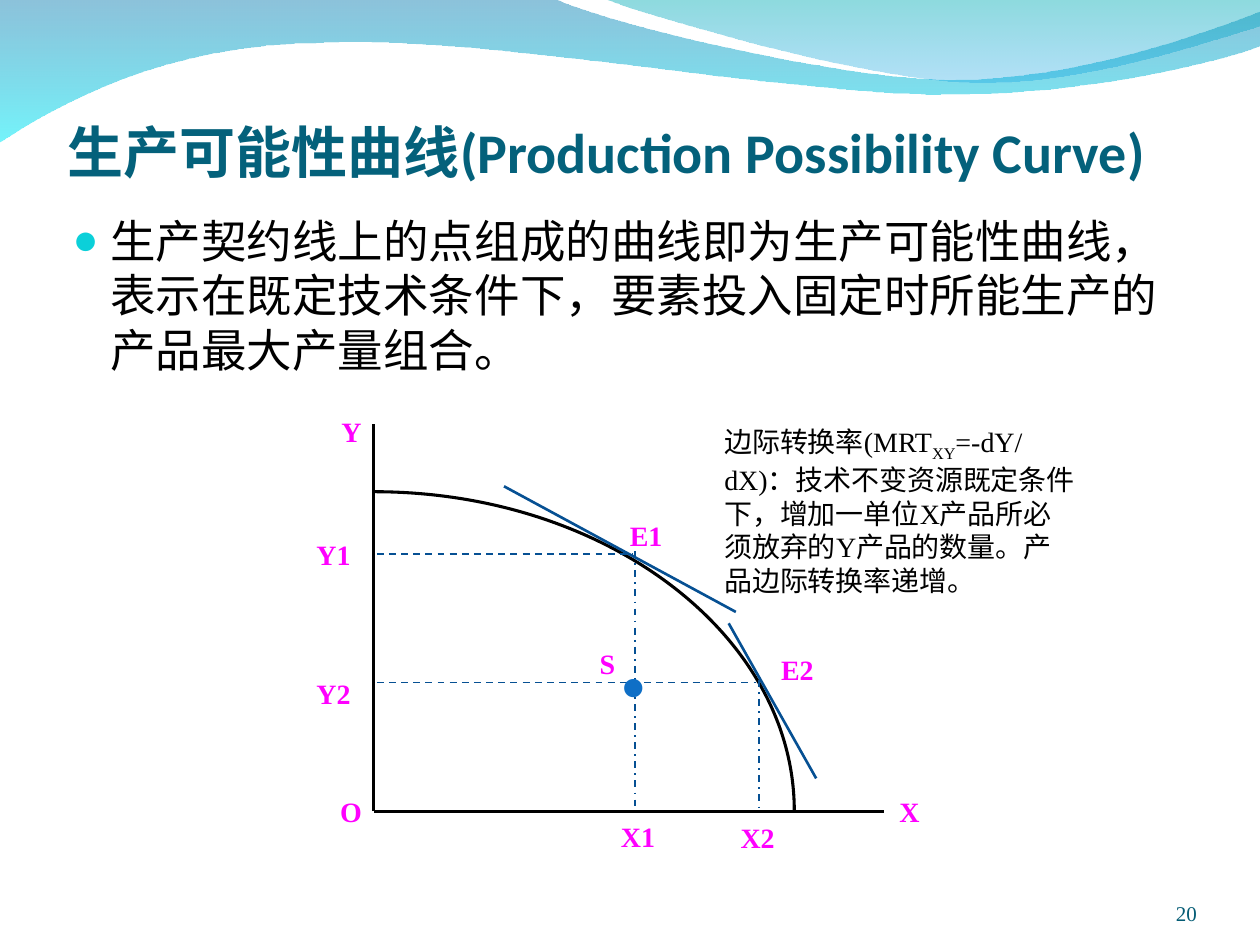
from lxml.etree import SubElement
from pptx import Presentation
from pptx.dml.color import RGBColor
from pptx.enum.dml import MSO_LINE
from pptx.enum.shapes import MSO_CONNECTOR
from pptx.enum.text import MSO_ANCHOR, MSO_AUTO_SIZE, PP_ALIGN
from pptx.oxml.ns import qn
from pptx.util import Pt

COLORS = {
    "title": "04617B", "text": "000000", "label": "FF00FF", "guide": "065093",
    "bullet": "0BD0D9", "number": "045C75", "dot": "0F6FC6",
    "wave_top": "0079AF", "wave_bottom": "00EBF8",
    "crest_top": "00ADB6", "crest_bottom": "009BE5",
}
SERIF = "Times New Roman"
INSETS = (7.2, 3.6, 7.2, 3.6)


class SlideBuilder:
    def __init__(self, page):
        self.page = page

    def color(self, name):
        return RGBColor.from_string(COLORS[name])

    def frame(self, box, anchor, insets):
        frame = box.text_frame
        frame.word_wrap = True
        frame.auto_size = MSO_AUTO_SIZE.NONE
        frame.vertical_anchor = anchor
        (frame.margin_left, frame.margin_top,
         frame.margin_right, frame.margin_bottom) = map(Pt, insets)
        return frame

    def style(self, para, size, color, font, bold, align):
        para.alignment = align
        para.font.size = Pt(size)
        para.font.name = font
        para.font.bold = bold
        para.font.color.rgb = self.color(color)

    def title(self, text, left, top, width, height):
        box = self.page.shapes.title
        box.left, box.top, box.width, box.height = map(Pt, (left, top, width, height))
        frame = self.frame(box, MSO_ANCHOR.BOTTOM, (0, 3.6, 0, 0))
        frame.text = text
        self.style(frame.paragraphs[0], 32, "title", "Calibri", True, PP_ALIGN.LEFT)
        box._element.getparent().append(box._element)

    def text(self, spans, left, top, width, height, size=16, color="text", font=SERIF,
             bold=False, align=PP_ALIGN.LEFT, anchor=MSO_ANCHOR.TOP, insets=INSETS,
             bullet=False):
        box = self.page.shapes.add_textbox(*map(Pt, (left, top, width, height)))
        para = self.frame(box, anchor, insets).paragraphs[0]
        if bullet:
            self.bullet(para)
        for content, baseline in spans:
            span = para.add_run()
            span.text = content
            if baseline:
                span._r.get_or_add_rPr().set("baseline", str(baseline))
        self.style(para, size, color, font, bold, align)

    def bullet(self, para):
        props = para._p.get_or_add_pPr()
        props.set("marL", str(Pt(21.6)))
        props.set("indent", str(-Pt(21.6)))
        tint = SubElement(props, qn("a:buClr"))
        SubElement(tint, qn("a:srgbClr"), val=COLORS["bullet"])
        SubElement(props, qn("a:buSzPct"), val="95000")
        SubElement(props, qn("a:buFont"), typeface=SERIF)
        SubElement(props, qn("a:buChar"), char="●")

    def label(self, text, left, top, width):
        self.text([(text, 0)], left, top, width, 26.6, color="label", bold=True,
                  align=PP_ALIGN.RIGHT)

    def line(self, start, end, color, width, dash=None):
        line = self.page.shapes.add_connector(
            MSO_CONNECTOR.STRAIGHT, *map(Pt, (*start, *end)))
        line.line.color.rgb = self.color(color)
        line.line.width = Pt(width)
        if dash:
            line.line.dash_style = dash
        SubElement(line._element.spPr, qn("a:effectLst"))

    def outline(self, start, segments, close):
        corners = [(Pt(x), Pt(y)) for segment in segments for x, y in segment]
        builder = self.page.shapes.build_freeform(*map(Pt, start))
        builder.add_line_segments(corners, close=close)
        shape = builder.convert_to_shape()
        shape.shadow.inherit = False
        steps = iter(list(shape._element.iter(qn("a:lnTo"))))
        for segment in segments:
            first, *others = [next(steps) for _ in segment]
            if others:
                bend = first.makeelement(qn("a:cubicBezTo"))
                first.addprevious(bend)
                for step in (first, *others):
                    bend.append(step[0])
                    step.getparent().remove(step)
        return shape

    def curve(self, start, segments, color, width):
        shape = self.outline(start, segments, False)
        shape.fill.background()
        shape.line.color.rgb = self.color(color)
        shape.line.width = Pt(width)

    def wave(self, start, segments, stops):
        shape = self.outline(start, segments, True)
        shape.line.fill.background()
        shape.fill.gradient()
        shape.fill.gradient_angle = 270
        for stop, position, (color, opacity) in zip(shape.fill.gradient_stops, (0, 1), stops):
            stop.color.rgb = self.color(color)
            stop.position = position
            tint = stop._gs.find(qn("a:srgbClr"))
            SubElement(tint, qn("a:alpha"), val=str(opacity * 1000))


def main():
    deck = Presentation()
    deck.slide_width, deck.slide_height = Pt(720), Pt(540)
    page = deck.slides.add_slide(deck.slide_layouts[5])
    slide = SlideBuilder(page)

    slide.wave((0, -0.7), [
        [(316.8, -0.7)],
        [(342.7, 12.2), (478, 45.4), (545.8, 45.4)],
        [(614.2, 45.4), (689.8, 18.7), (720, 6.5)],
        [(720.7, 25.9)],
        [(707.8, 31.7), (626.4, 54.7), (537.1, 54)],
        [(447.8, 54), (275, 20.2), (185, 24.5)],
        [(92.9, 25.2), (33.1, 59.8), (-0.7, 81.4)],
    ], [("wave_top", 45), ("wave_bottom", 55)])
    slide.wave((344.9, -0.7), [
        [(366.5, 7.9), (491, 44.6), (553.7, 46.8)],
        [(616.3, 49.7), (691.9, 23), (720, 15.1)],
        [(720, 0)],
    ], [("crest_top", 45), ("crest_bottom", 30)])

    slide.title("生产可能性曲线(Production Possibility Curve)", 38.6, 48.7, 648, 56.9)
    slide.text([("生产契约线上的点组成的曲线即为生产可能性曲线，表示在既定技术条件下，"
                 "要素投入固定时所能生产的产品最大产量组合。", 0)],
               34.4, 118.1, 648, 380.9, size=26, font="Vollkorn", bullet=True)
    slide.text([("20", 0)], 624.2, 500.4, 59.8, 28.8, size=12, color="number",
               align=PP_ALIGN.RIGHT, anchor=MSO_ANCHOR.BOTTOM, insets=(0, 0, 0, 0))

    origin = (213.6, 463.5)
    for end in ((213.6, 242.1), (504.9, 463.5)):
        slide.line(origin, end, "text", 1.75)
    slide.curve((213.6, 281), [[(346.3, 281), (453.9, 362.9), (453.9, 463.5)]],
                "text", 1.75)

    for x, y in ((362.7, 316.5), (433.7, 390)):
        slide.line((215.3, y), (x - 1.5, y), "guide", 1, MSO_LINE.DASH)
        slide.line((x, y - 1.5), (x, 462), "guide", 1, MSO_LINE.DASH_DOT)
    for start, end in (((288, 277.9), (420.5, 349.7)), ((416.4, 356.2), (466.4, 444.8))):
        slide.line(start, end, "guide", 1.5)

    slide.text([("边际转换率(MRT", 0), ("XY", -25000),
                ("=-dY/dX)：技术不变资源既定条件下，增加一单位X产品所必须放弃的Y产品的数量。"
                 "产品边际转换率递增。", 0)], 406.8, 239, 216.7, 105.8)
    slide.text([(".", 0)], 344.2, 306, 28.8, 113, size=88, color="dot",
               align=PP_ALIGN.RIGHT)

    for name, left, top, width in (
            ("O", 169.2, 450.7, 44.6), ("X", 504.5, 450.4, 28.1), ("Y", 185.6, 233.6, 28.1),
            ("X1", 336.8, 465, 44.6), ("X2", 405.2, 465.2, 44.6),
            ("Y1", 169.2, 303.8, 38.2), ("Y2", 169.2, 383, 38.2),
            ("E1", 346.8, 292.6, 38.9), ("E2", 433.8, 369.4, 38.2), ("S", 319.7, 365.8, 38.9)):
        slide.label(name, left, top, width)

    deck.save("out.pptx")


if __name__ == "__main__":
    main()
